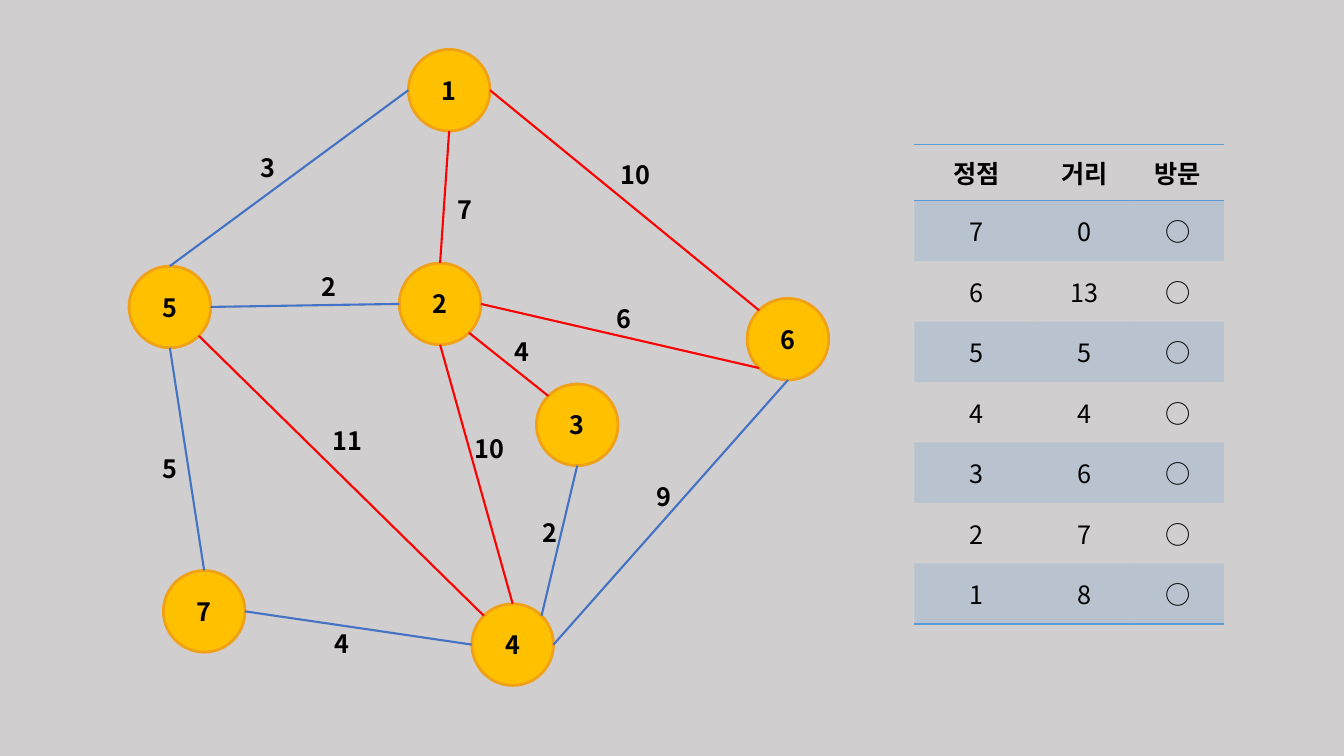
from math import cos, radians, sin

from lxml.etree import SubElement
from pptx import Presentation
from pptx.dml.color import RGBColor
from pptx.enum.shapes import MSO_CONNECTOR as Connector, MSO_SHAPE as Shape
from pptx.enum.text import MSO_ANCHOR as Anchor, MSO_AUTO_SIZE as AutoSize, PP_ALIGN as Align
from pptx.oxml import parse_xml
from pptx.oxml.ns import nsdecls, qn
from pptx.util import Inches, Pt

FONT = "Noto Sans CJK KR"
BLACK, RED, BLUE, TABLE_BLUE = "000000", "FF0000", "4472C4", "5B9BD5"
NO_STYLE = "{2D5ABB26-0587-4C30-8999-92F81FD0307C}"
DIAMETER = 0.81
TOP, TOP_LEFT, LEFT, BOTTOM_LEFT, BOTTOM, BOTTOM_RIGHT, RIGHT, TOP_RIGHT = range(8)

VERTICES = {
    1: (4.05, 0.49), 6: (7.41, 2.96), 5: (1.28, 2.64), 4: (4.68, 5.99),
    7: (1.62, 5.66), 3: (5.32, 3.81), 2: (3.96, 2.61),
}
EDGES = [
    (1, RIGHT, 6, TOP_LEFT, RED, "10", 6.06, 1.53),
    (5, TOP, 1, LEFT, BLUE, "3", 2.49, 1.46),
    (2, RIGHT, 6, BOTTOM_LEFT, RED, "6", 6.02, 2.96),
    (3, BOTTOM, 4, TOP_RIGHT, BLUE, "2", 5.28, 5.08),
    (4, RIGHT, 6, BOTTOM, BLUE, "9", 6.41, 4.73),
    (2, BOTTOM_RIGHT, 3, TOP_LEFT, RED, "4", 5, 3.29),
    (5, BOTTOM, 7, TOP, BLUE, "5", 1.51, 4.45),
    (1, BOTTOM, 2, TOP, RED, "7", 4.44, 1.88),
    (5, RIGHT, 2, LEFT, BLUE, "2", 3.09, 2.64),
    (2, BOTTOM, 4, TOP, RED, "10", 4.61, 4.25),
    (7, RIGHT, 4, LEFT, BLUE, "4", 3.22, 6.18),
    (5, BOTTOM_RIGHT, 4, TOP_LEFT, RED, "11", 3.2, 4.17),
]
HEADINGS = ("정점", "거리", "방문")
DISTANCES = {7: 0, 6: 13, 5: 5, 4: 4, 3: 6, 2: 7, 1: 8}
COLUMN_WIDTHS = (1.23, 0.92, 0.92)
HEADER_HEIGHT, ROW_HEIGHT = 0.56, 0.6


def rgb(value):
    return RGBColor.from_string(value)


def write(frame, text, size=18, bold=True, color=BLACK, align=Align.CENTER):
    paragraph = frame.paragraphs[0]
    paragraph.alignment = align
    run = paragraph.add_run()
    run.text = text
    font = run.font
    font.name, font.size, font.bold = FONT, Pt(size), bold
    font.color.rgb = rgb(color)
    SubElement(font._element, qn("a:ea"), typeface=FONT)


def add_vertex(slide, number, left, top):
    vertex = slide.shapes.add_shape(
        Shape.OVAL, Inches(left), Inches(top), Inches(DIAMETER), Inches(DIAMETER))
    vertex.shadow.inherit = False
    vertex.fill.solid()
    vertex.fill.fore_color.rgb = rgb("FFC000")
    vertex.line.color.rgb = rgb("F1A116")
    vertex.line.width = Pt(2)
    vertex.text_frame.vertical_anchor = Anchor.MIDDLE
    write(vertex.text_frame, str(number))
    return vertex


def rim_point(vertex, site):
    radius = vertex.width / 2
    angle = radians(90 + 45 * site)
    return (round(vertex.left + radius * (1 + cos(angle))),
            round(vertex.top + radius * (1 - sin(angle))))


def add_edge(slide, start, start_site, end, end_site, color):
    edge = slide.shapes.add_connector(
        Connector.STRAIGHT, *rim_point(start, start_site), *rim_point(end, end_site))
    edge.line.color.rgb = rgb(color)
    edge.line.width = Pt(1.5)
    SubElement(edge._element.spPr, qn("a:effectLst"))
    joints = edge._element.nvCxnSpPr.cNvCxnSpPr
    for tag, vertex, site in (("a:stCxn", start, start_site), ("a:endCxn", end, end_site)):
        SubElement(joints, qn(tag), id=str(vertex.shape_id), idx=str(site))


def add_weight(slide, weight, left, top):
    width = 0.35 if len(weight) == 1 else 0.49
    label = slide.shapes.add_textbox(Inches(left), Inches(top), Inches(width), Inches(0.4))
    label.text_frame.word_wrap = False
    label.text_frame.auto_size = AutoSize.SHAPE_TO_FIT_TEXT
    label.text_frame.margin_right = Inches(0.05)
    write(label.text_frame, weight, align=Align.LEFT)


def add_borders(cell, sides):
    properties = cell._tc.get_or_add_tcPr()
    for position, side in enumerate(sides):
        properties.insert(position, parse_xml(
            f'<a:ln{side} {nsdecls("a")} w="{Pt(1)}"><a:solidFill>'
            f'<a:srgbClr val="{TABLE_BLUE}"/></a:solidFill></a:ln{side}>'))


def fill_cell(cell, shaded):
    if not shaded:
        cell.fill.background()
        return
    cell.fill.solid()
    cell.fill.fore_color.rgb = rgb(TABLE_BLUE)
    tint = cell._tc.tcPr.find(".//" + qn("a:srgbClr"))
    SubElement(tint, qn("a:alpha"), val="20000")


def add_distance_table(slide):
    rows = [HEADINGS] + [(str(v), str(d), "○") for v, d in DISTANCES.items()]
    heights = [HEADER_HEIGHT] + [ROW_HEIGHT] * len(DISTANCES)
    table = slide.shapes.add_table(
        len(rows), len(HEADINGS), Inches(9.07), Inches(1.43),
        Inches(sum(COLUMN_WIDTHS)), Inches(sum(heights))).table
    table.first_row = table.horz_banding = False
    table._tbl.tblPr.find(qn("a:tableStyleId")).text = NO_STYLE
    for column, width in zip(table.columns, COLUMN_WIDTHS):
        column.width = Inches(width)
    borders = {0: "TB", len(rows) - 1: "B"}
    for r, (values, height) in enumerate(zip(rows, heights)):
        table.rows[r].height = Inches(height)
        for c, value in enumerate(values):
            cell = table.cell(r, c)
            cell.vertical_anchor = Anchor.MIDDLE
            write(cell.text_frame, value, bold=r == 0)
            fill_cell(cell, shaded=r % 2 == 1)
            add_borders(cell, borders.get(r, ""))


def main():
    deck = Presentation()
    deck.slide_width, deck.slide_height = Inches(13.33), Inches(7.5)
    slide = deck.slides.add_slide(deck.slide_layouts[6])
    slide.background.fill.solid()
    slide.background.fill.fore_color.rgb = rgb("D0CECE")

    add_distance_table(slide)
    vertices = {n: add_vertex(slide, n, *place) for n, place in VERTICES.items()}
    for start, start_site, end, end_site, color, weight, left, top in EDGES:
        add_edge(slide, vertices[start], start_site, vertices[end], end_site, color)
        add_weight(slide, weight, left, top)
    deck.save("out.pptx")


if __name__ == "__main__":
    main()
